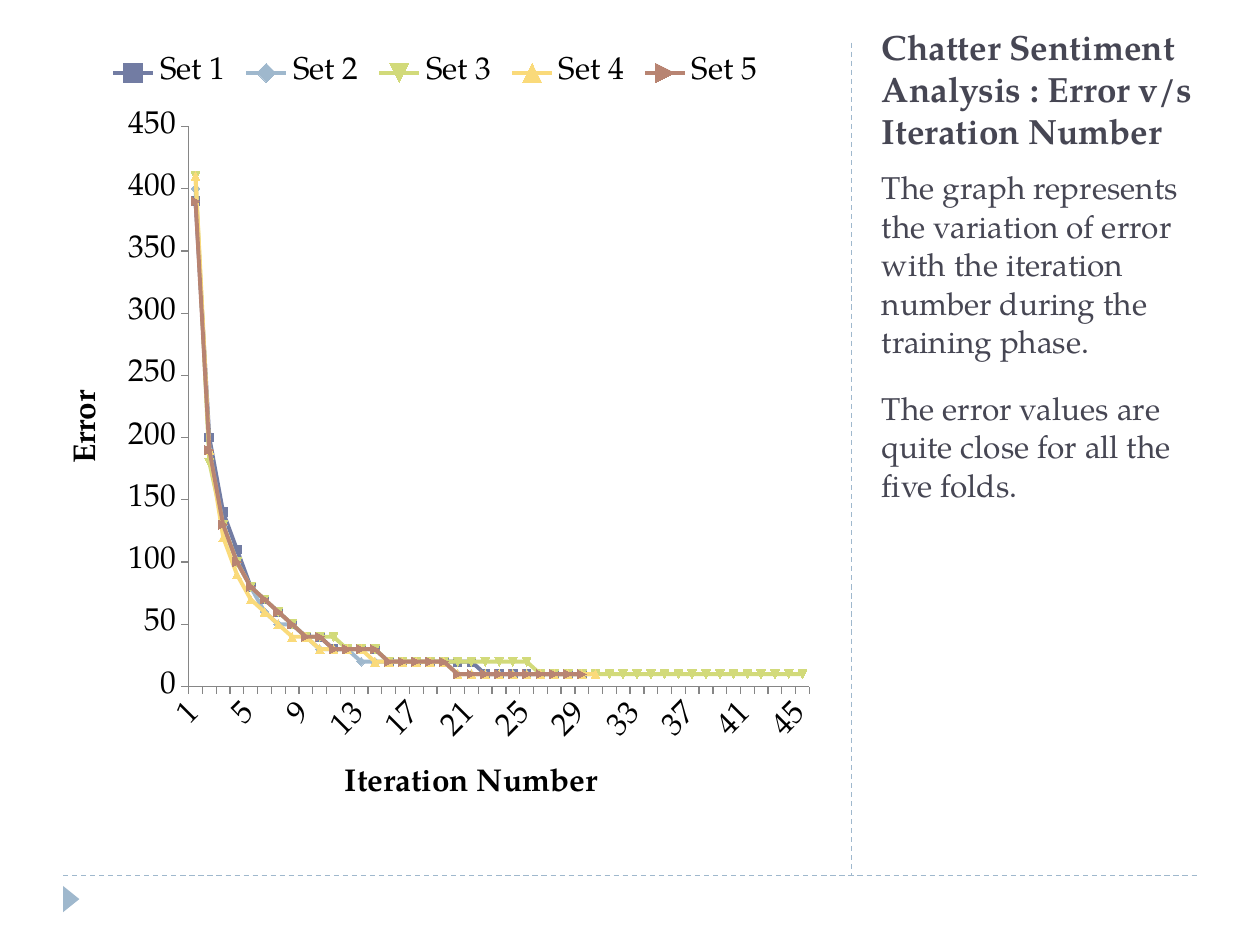
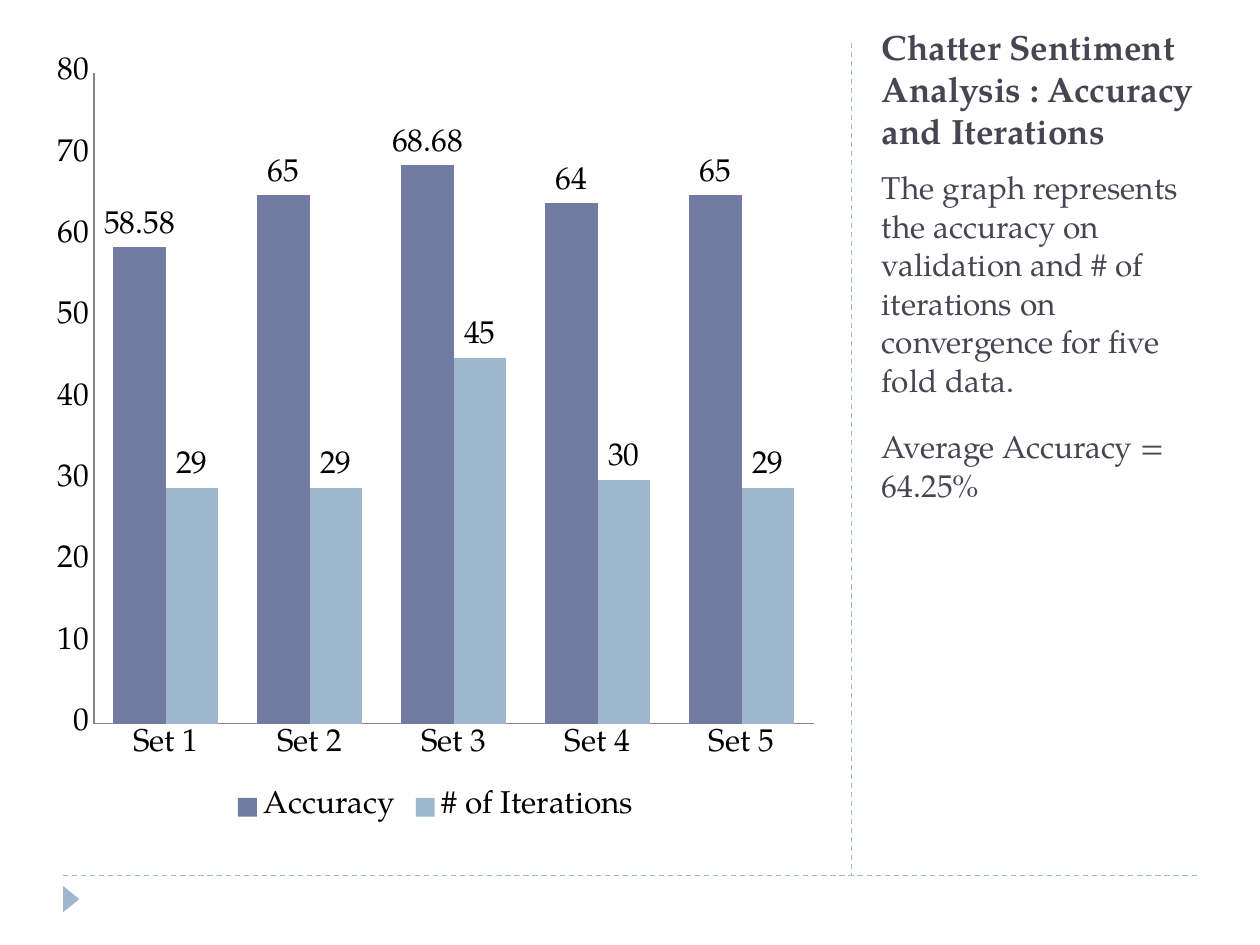
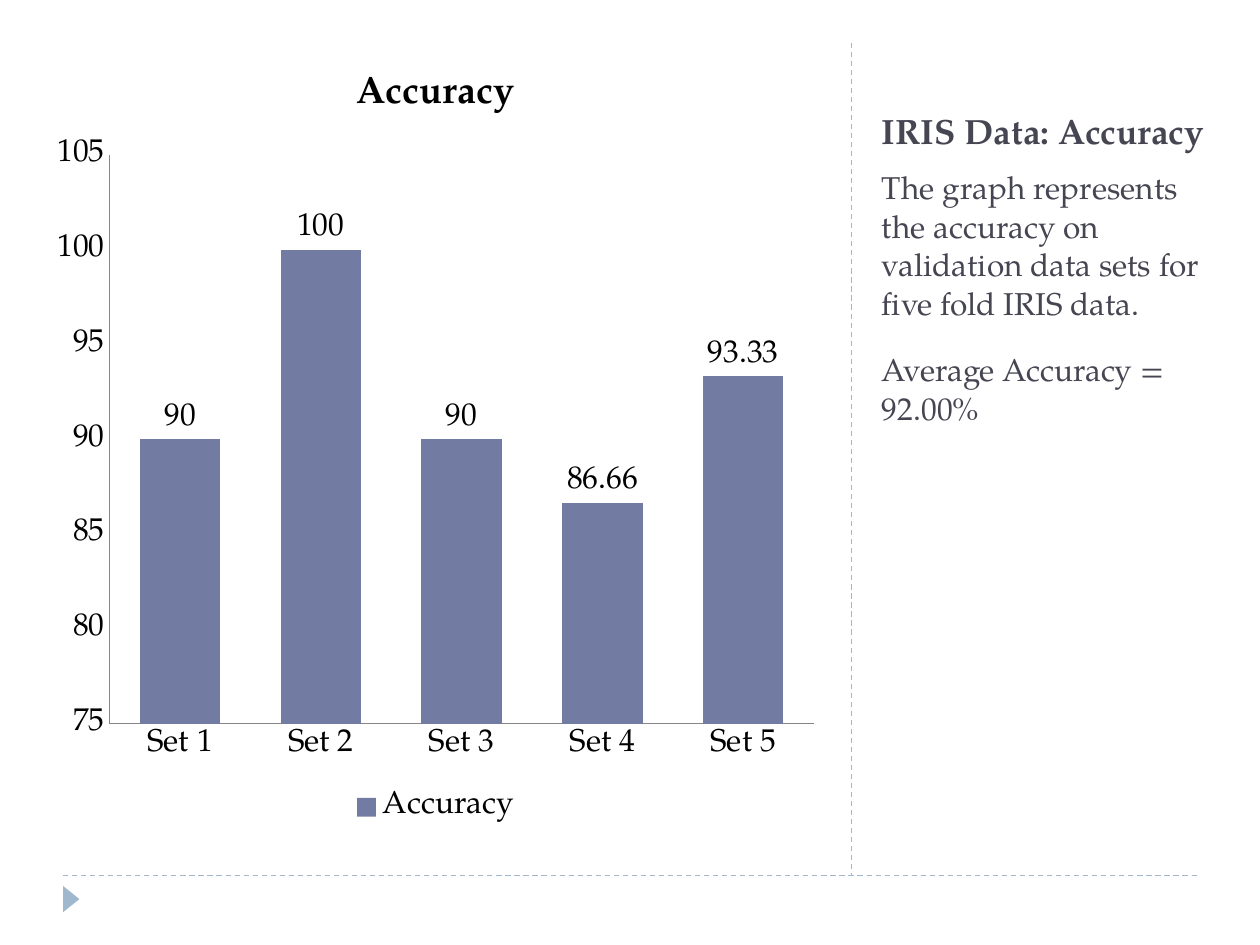
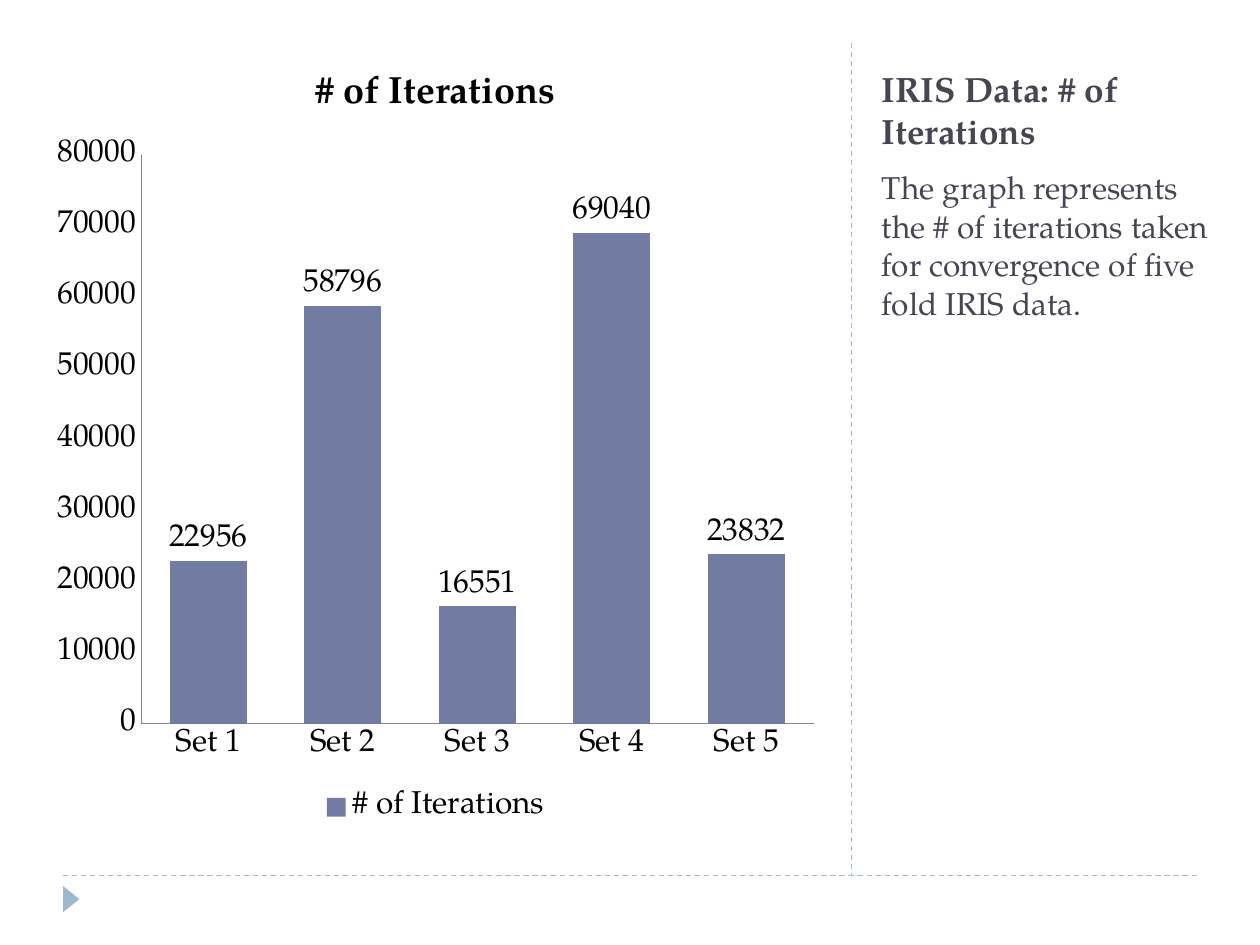
from lxml import etree
from pptx import Presentation
from pptx.chart.data import CategoryChartData
from pptx.dml.color import RGBColor
from pptx.enum.chart import XL_CHART_TYPE, XL_LABEL_POSITION, XL_LEGEND_POSITION, XL_TICK_MARK
from pptx.enum.dml import MSO_LINE
from pptx.enum.shapes import MSO_CONNECTOR, MSO_SHAPE
from pptx.enum.text import MSO_ANCHOR
from pptx.oxml.ns import qn
from pptx.util import Cm, Pt

LINE, COLUMN = XL_CHART_TYPE.LINE, XL_CHART_TYPE.COLUMN_CLUSTERED
TOP, BOTTOM = XL_LEGEND_POSITION.TOP, XL_LEGEND_POSITION.BOTTOM
OUT, NONE = XL_TICK_MARK.OUTSIDE, XL_TICK_MARK.NONE
ABOVE = XL_LABEL_POSITION.OUTSIDE_END
DASH = MSO_LINE.DASH
STRAIGHT = MSO_CONNECTOR.STRAIGHT
TRIANGLE = MSO_SHAPE.ISOSCELES_TRIANGLE
HIGH, LOW = MSO_ANCHOR.TOP, MSO_ANCHOR.BOTTOM

FONT = "TeX Gyre Pagella"
HEX = {"text": "464653", "rule": "9FB8CD", "axis": "868686", "ink": "000000",
       "set1": "727CA3", "set2": "9FB8CD", "set3": "D2DA7A",
       "set4": "FADA7A", "set5": "B88472"}
SERIES = ["set1", "set2", "set3", "set4", "set5"]
SETS = [f"Set {n}" for n in range(1, 6)]
SIDE, WIDE = 17.58, 6.99

ERRORS = [
    [390, 200, 140, 110, 80, 70, 60, 50, 40, 40] + [30] * 4 + [20] * 7 + [10] * 8,
    [400, 190, 130, 100, 80, 60, 50, 50, 40] + [30] * 3 + [20] * 7 + [10] * 10,
    [410, 180, 130, 100, 80, 70, 60, 50, 40, 40, 40] + [30] * 3 + [20] * 11 + [10] * 20,
    [410, 190, 120, 90, 70, 60, 50, 40, 40] + [30] * 4 + [20] * 6 + [10] * 11,
    [390, 190, 130, 100, 80, 70, 60, 50, 40, 40] + [30] * 4 + [20] * 5 + [10] * 10,
]
STEPS = max(len(vals) for vals in ERRORS)


def color(name):
    return RGBColor.from_string(HEX[name])


def style(font, size, name="ink", bold=False):
    font.name, font.size, font.bold = FONT, Pt(size), bold
    font.color.rgb = color(name)


def label(owner, text, size):
    """Give a chart or an axis a bold title."""
    frame = owner.text_frame
    frame.text = text
    style(frame.paragraphs[0].runs[0].font, size, bold=True)


class Deck:
    def __init__(self):
        self.prs = Presentation()
        self.prs.slide_width, self.prs.slide_height = Cm(25.4), Cm(19.05)
        self.slide = None

    def page(self, title, notes):
        """Start a slide with its rules, marker, title and side text."""
        self.slide = self.prs.slides.add_slide(self.prs.slide_layouts[6])
        self.rule(1.27, 17.65, 24.13, 17.65)
        self.rule(17.17, 0.86, 17.17, 17.63)
        self.marker(1.17, 17.96, 0.53, 0.33)
        self.text([title], 0.84, 2.34, size=20, bold=True, anchor=LOW, pad=0.13)
        self.text(notes, 3.38, 13.46, line=22, before=6, after=10)

    def rule(self, x1, y1, x2, y2):
        rule = self.slide.shapes.add_connector(STRAIGHT, Cm(x1), Cm(y1), Cm(x2), Cm(y2))
        rule.line.color.rgb = color("rule")
        rule.line.width = Pt(0.75)
        rule.line.dash_style = DASH
        etree.SubElement(rule._element.spPr, qn("a:effectLst"))

    def marker(self, x, y, w, h):
        mark = self.slide.shapes.add_shape(TRIANGLE, Cm(x), Cm(y), Cm(w), Cm(h))
        mark.rotation = 90
        mark.shadow.inherit = False
        mark.fill.solid()
        mark.fill.fore_color.rgb = color("rule")
        mark.line.fill.background()

    def text(self, paras, top, high, size=18, bold=False, anchor=HIGH, pad=0,
             line=None, before=0, after=0):
        box = self.slide.shapes.add_textbox(Cm(SIDE), Cm(top), Cm(WIDE), Cm(high))
        frame = box.text_frame
        frame.word_wrap = True
        frame.vertical_anchor = anchor
        frame.margin_left = frame.margin_right = Cm(0.2)
        frame.margin_top = frame.margin_bottom = Cm(pad)
        for i, words in enumerate(paras):
            para = frame.add_paragraph() if i else frame.paragraphs[0]
            para.space_before, para.space_after = Pt(before), Pt(after)
            if line:
                para.line_spacing = Pt(line)
            run = para.add_run()
            run.text = words
            style(run.font, size, "text", bold)

    def chart(self, kind, cats, series, legend, tick, title=None):
        data = CategoryChartData()
        data.categories = cats
        for name, vals in series.items():
            data.add_series(name, vals + [None] * (len(cats) - len(vals)))
        chart = self.slide.shapes.add_chart(
            kind, Cm(0.84), Cm(0.84), Cm(15.88), Cm(15.88), data).chart
        style(chart.font, 18)
        chart.has_title = bool(title)
        if title:
            label(chart.chart_title, title, 21.6)
        chart.has_legend = True
        chart.legend.position = legend
        chart.legend.include_in_layout = False
        for axis in (chart.category_axis, chart.value_axis):
            axis.has_major_gridlines = False
            axis.major_tick_mark, axis.minor_tick_mark = tick, NONE
            axis.format.line.color.rgb = color("axis")
            axis.format.line.width = Pt(0.75)
        chart.plots[0].vary_by_categories = False
        return chart

    def lines(self, cats, series, across, up):
        chart = self.chart(LINE, cats, series, TOP, OUT)
        label(chart.category_axis.axis_title, across, 18)
        label(chart.value_axis.axis_title, up, 18)
        for item, name in zip(chart.plots[0].series, SERIES):
            item.smooth = False
            item.marker.style = None
            item.format.line.color.rgb = color(name)
            item.format.line.width = Pt(2.25)

    def bars(self, series, title=None, low=None, high=None):
        chart = self.chart(COLUMN, SETS, series, BOTTOM, NONE, title)
        chart.value_axis.minimum_scale = low
        chart.value_axis.maximum_scale = high
        plot = chart.plots[0]
        plot.gap_width = 75
        plot.overlap = 0
        for item, name in zip(plot.series, SERIES):
            item.format.fill.solid()
            item.format.fill.fore_color.rgb = color(name)
            tags = item.data_labels
            tags.show_value = True
            tags.position = ABOVE
            style(tags.font, 18)


def main():
    deck = Deck()

    deck.page("Chatter Sentiment Analysis : Error v/s Iteration Number",
              ["The graph represents the variation of error with the iteration "
               "number during the training phase.",
               "The error values are quite close for all the five folds."])
    deck.lines([str(n) for n in range(1, STEPS + 1)], dict(zip(SETS, ERRORS)),
               "Iteration Number", "Error")

    deck.page("Chatter Sentiment Analysis : Accuracy and Iterations",
              ["The graph represents the accuracy on validation and # of iterations "
               "on convergence for five fold data.",
               "Average Accuracy = 64.25%"])
    deck.bars({"Accuracy": [58.58, 65, 68.68, 64, 65],
               "# of Iterations": [29, 29, 45, 30, 29]}, low=0, high=80)

    deck.page("IRIS Data: Accuracy",
              ["The graph represents the accuracy on validation data sets for "
               "five fold IRIS data.",
               "Average Accuracy = 92.00%"])
    deck.bars({"Accuracy": [90, 100, 90, 86.66, 93.33]}, "Accuracy", 75, 105)

    deck.page("IRIS Data: # of Iterations",
              ["The graph represents the # of iterations taken for convergence "
               "of five fold IRIS data."])
    deck.bars({"# of Iterations": [22956, 58796, 16551, 69040, 23832]},
              "# of Iterations", 0, 80000)

    deck.prs.save("out.pptx")


if __name__ == "__main__":
    main()
